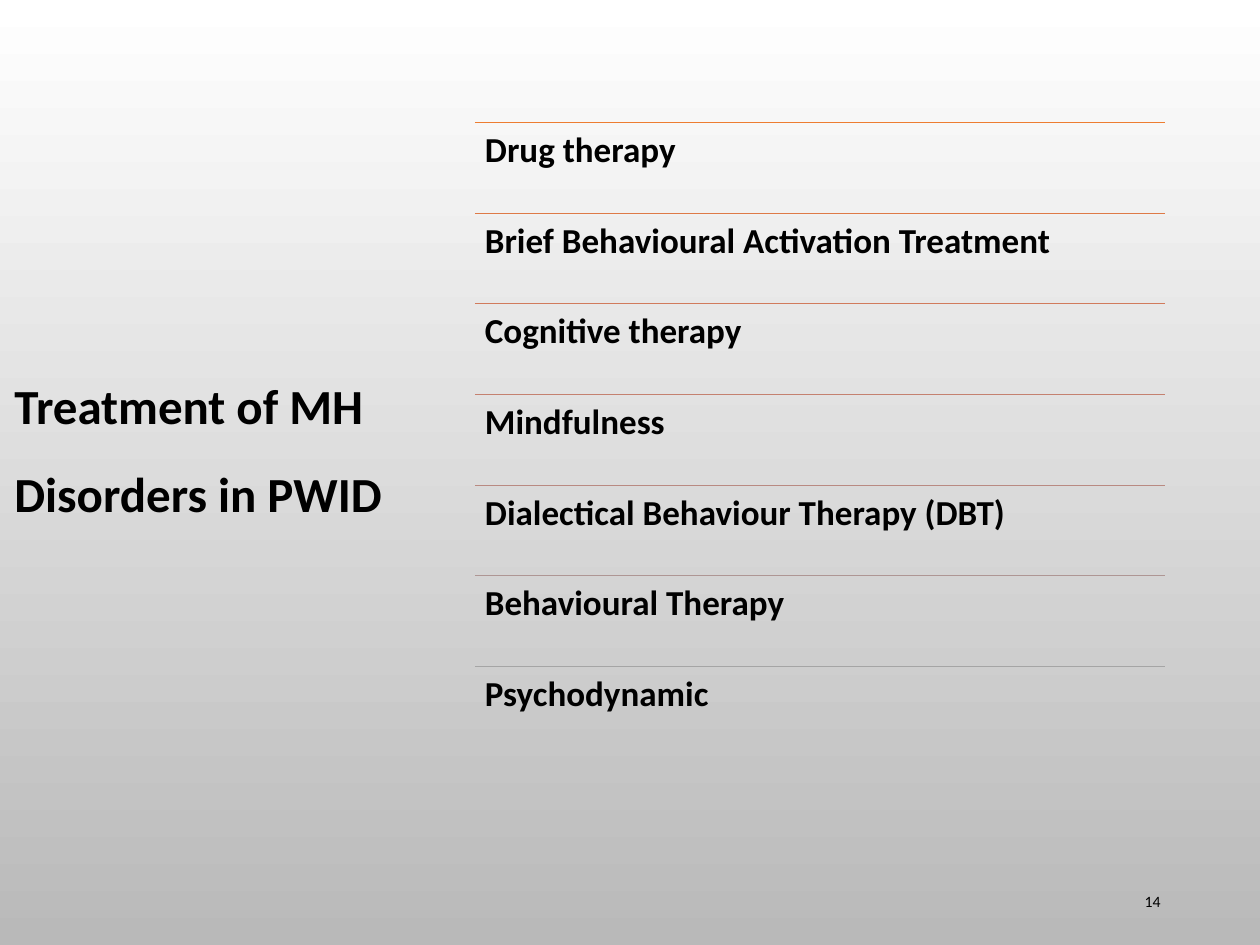
from dataclasses import dataclass

from lxml import etree
from pptx import Presentation
from pptx.dml.color import RGBColor
from pptx.enum.shapes import MSO_CONNECTOR
from pptx.enum.text import MSO_ANCHOR, PP_ALIGN
from pptx.oxml.ns import qn
from pptx.util import Emu, Pt

STRAIGHT = MSO_CONNECTOR.STRAIGHT
TOP, MIDDLE = MSO_ANCHOR.TOP, MSO_ANCHOR.MIDDLE
RIGHT = PP_ALIGN.RIGHT
BLANK_LAYOUT = 6
PX_PER_INCH = 126


@dataclass(frozen=True)
class Theme:
    font: str = "Calibri"
    text: str = "000000"
    background: tuple = ("FFFFFF", "B9B9B9")
    rules: tuple = ("ED7D31", "DE7A47", "D17B5C", "C48170",
                    "B98A82", "AE9694", "A5A5A5")
    title_size: int = 28
    therapy_size: int = 20
    number_size: int = 9
    rule_width: float = 0.5


def px(length):
    return Emu(round(length * 914400 / PX_PER_INCH))


def apply_format(target, values):
    for name, value in values.items():
        setattr(target, name, value)


class SlideBuilder:
    def __init__(self, slide, theme):
        self.slide = slide
        self.theme = theme
        self.shapes = slide.shapes

    def background(self):
        fill = self.slide.background.fill
        fill.gradient()
        fill.gradient_angle = 270
        for stop, color in zip(fill.gradient_stops, self.theme.background):
            stop.color.rgb = RGBColor.from_string(color)

    def start_group(self):
        self.shapes = self.slide.shapes.add_group_shape().shapes

    def text(self, words, box, size, bold=False, frame=None, paragraph=None):
        shape = self.shapes.add_textbox(*map(px, box))
        text_frame = shape.text_frame
        apply_format(text_frame, {"word_wrap": True, **(frame or {})})
        line = text_frame.paragraphs[0]
        apply_format(line, paragraph or {})
        run = line.add_run()
        run.text = words
        apply_format(run.font, {"name": self.theme.font, "size": Pt(size), "bold": bold})
        run.font.color.rgb = RGBColor.from_string(self.theme.text)

    def rule(self, left, top, width, color):
        connector = self.shapes.add_connector(
            STRAIGHT, px(left), px(top), px(left + width), px(top))
        connector.line.color.rgb = RGBColor.from_string(color)
        connector.line.width = Pt(self.theme.rule_width)
        etree.SubElement(connector._element.spPr, qn("a:effectLst"))


def main():
    theme = Theme()
    presentation = Presentation()
    presentation.slide_width, presentation.slide_height = px(1260), px(945)
    slide = presentation.slides.add_slide(presentation.slide_layouts[BLANK_LAYOUT])
    builder = SlideBuilder(slide, theme)
    builder.background()

    # Title and slide number
    builder.text("Treatment of MH Disorders in PWID", (2, 181, 408, 507),
                 theme.title_size, bold=True,
                 frame={"vertical_anchor": MIDDLE}, paragraph={"line_spacing": 1.5})
    builder.text("14", (890, 876, 283, 50), theme.number_size,
                 frame={"vertical_anchor": MIDDLE},
                 paragraph={"alignment": RIGHT, "space_after": Pt(6)})

    # Therapies, each under its own rule
    therapies = ("Drug therapy", "Brief Behavioural Activation Treatment",
                 "Cognitive therapy", "Mindfulness",
                 "Dialectical Behaviour Therapy (DBT)", "Behavioural Therapy",
                 "Psychodynamic")
    left, first_top, last_top, width, height = 475, 122, 666, 690, 91
    pitch = (last_top - first_top) / (len(therapies) - 1)
    sides = ("left", "top", "right", "bottom")
    frame = {"vertical_anchor": TOP, **{f"margin_{side}": px(10) for side in sides}}
    paragraph = {"line_spacing": 0.9, "space_after": Pt(7)}
    builder.start_group()
    for index, (therapy, color) in enumerate(zip(therapies, theme.rules)):
        top = round(first_top + index * pitch)
        builder.rule(left, top, width, color)
        builder.text(therapy, (left, top, width, height), theme.therapy_size,
                     bold=True, frame=frame, paragraph=paragraph)

    presentation.save("out.pptx")


if __name__ == "__main__":
    main()
